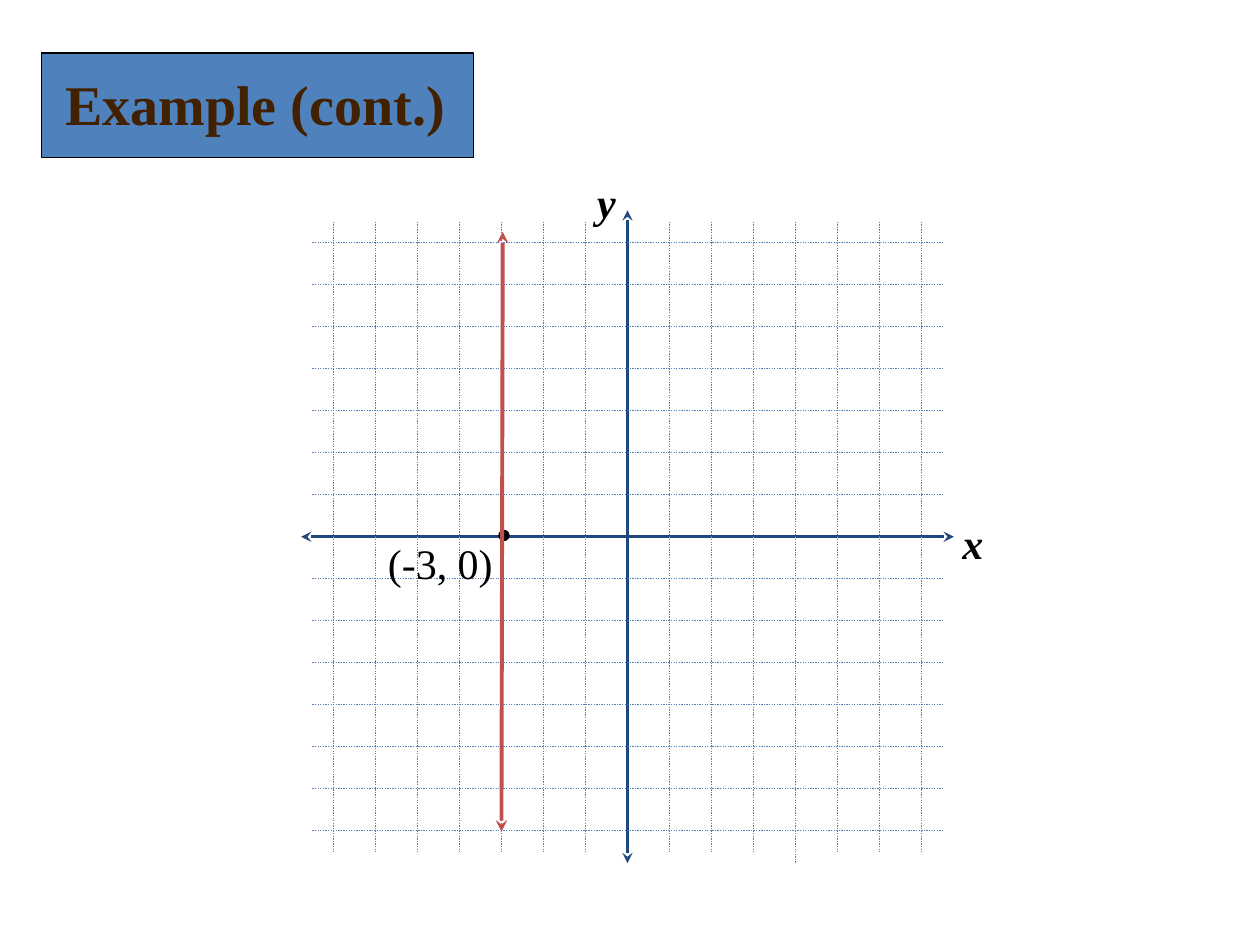
from dataclasses import dataclass

from lxml.etree import SubElement
from pptx import Presentation
from pptx.dml.color import RGBColor
from pptx.enum.dml import MSO_LINE_DASH_STYLE as Dash
from pptx.enum.shapes import MSO_CONNECTOR as Connector, MSO_SHAPE as Shape
from pptx.enum.text import MSO_AUTO_SIZE as AutoSize
from pptx.oxml.ns import qn
from pptx.util import Inches, Pt


@dataclass(frozen=True)
class Theme:
    font: str = "Times New Roman"
    title_size: int = 32
    label_size: int = 24
    black: str = "000000"
    title: str = "422100"
    axis: str = "1F497D"
    blue: str = "4F81BD"
    graph: str = "C0504D"


@dataclass(frozen=True)
class Stroke:
    color: str
    width: float
    dotted: bool = False
    arrows: bool = False


@dataclass(frozen=True)
class Label:
    text: str
    box: tuple[float, float, float, float]
    size: int
    color: str
    bold: bool = False
    italic: bool = False
    wrap: bool = True


THEME = Theme()
AXIS = Stroke(THEME.axis, 1.5, arrows=True)
GRID = Stroke(THEME.blue, 0.75, dotted=True)
GRAPH = Stroke(THEME.graph, 2.25, arrows=True)

# Coordinate plane: origin, grid step and reach, in inches
X0, Y0 = 4.98, 4.26
STEP = 1 / 3
CELLS = 7
GRID_REACH = 2.5
AXIS_REACH = 2.59

LABELS = [
    Label("x", (7.54, 4.06, 0.37, 0.5), THEME.label_size, THEME.black, True, True, False),
    Label("y", (4.64, 1.35, 0.35, 0.5), THEME.label_size, THEME.black, True, True, False),
    Label("(-3, 0)", (2.98, 4.22, 1.17, 0.5), THEME.label_size, THEME.black),
]
TITLE = Label("Example (cont.)", (0.42, 0.5, 3.29, 0.63), THEME.title_size, THEME.title, True)


def add_line(s, x1: float, y1: float, x2: float, y2: float, stroke: Stroke) -> None:
    sp = s.shapes.add_connector(Connector.STRAIGHT, *map(Inches, (x1, y1, x2, y2)))
    sp.line.color.rgb = RGBColor.from_string(stroke.color)
    sp.line.width = Pt(stroke.width)
    if stroke.dotted:
        sp.line.dash_style = Dash.ROUND_DOT
    if stroke.arrows:
        for end in ("a:headEnd", "a:tailEnd"):
            SubElement(sp.line._get_or_add_ln(), qn(end), type="stealth")
    SubElement(sp._element.spPr, qn("a:effectLst"))


def add_filled(s, kind: Shape, box: tuple[float, ...], fill: str) -> None:
    sp = s.shapes.add_shape(kind, *map(Inches, box))
    sp.shadow.inherit = False
    sp.fill.solid()
    sp.fill.fore_color.rgb = RGBColor.from_string(fill)
    sp.line.color.rgb = RGBColor.from_string(THEME.black)
    sp.line.width = Pt(0.75)


def add_label(s, label: Label) -> None:
    tf = s.shapes.add_textbox(*map(Inches, label.box)).text_frame
    tf.word_wrap = label.wrap
    tf.auto_size = AutoSize.SHAPE_TO_FIT_TEXT
    r = tf.paragraphs[0].add_run()
    r.text = label.text
    formats = {"name": THEME.font, "size": Pt(label.size),
               "bold": label.bold, "italic": label.italic}
    for name, value in formats.items():
        setattr(r.font, name, value)
    r.font.color.rgb = RGBColor.from_string(label.color)


def add_plane(s) -> None:
    # Axes
    add_line(s, X0, Y0 - AXIS_REACH, X0, Y0 + AXIS_REACH, AXIS)
    add_line(s, X0 - AXIS_REACH, Y0, X0 + AXIS_REACH, Y0, AXIS)

    # Grid on both sides of each axis; the line at x = 4 runs a little lower
    for n in range(-CELLS, CELLS + 1):
        if n == 0:
            continue
        x, y = X0 + n * STEP, Y0 + n * STEP
        add_line(s, X0 - GRID_REACH, y, X0 + GRID_REACH, y, GRID)
        lower = AXIS_REACH if n == 4 else GRID_REACH
        add_line(s, x, Y0 - GRID_REACH, x, Y0 + lower, GRID)


def main() -> None:
    prs = Presentation()
    prs.slide_width, prs.slide_height = Inches(10), Inches(7.5)
    s = prs.slides.add_slide(prs.slide_layouts[6])

    add_plane(s)

    # Labels, intercept and vertical graph
    for label in LABELS:
        add_label(s, label)
    add_filled(s, Shape.OVAL, (3.96, 4.21, 0.08, 0.08), THEME.black)
    add_line(s, 3.99, 1.84, 3.98, 6.6, GRAPH)

    # Title
    add_filled(s, Shape.RECTANGLE, (0.33, 0.42, 3.43, 0.83), THEME.blue)
    add_label(s, TITLE)

    prs.save("out.pptx")


if __name__ == "__main__":
    main()
